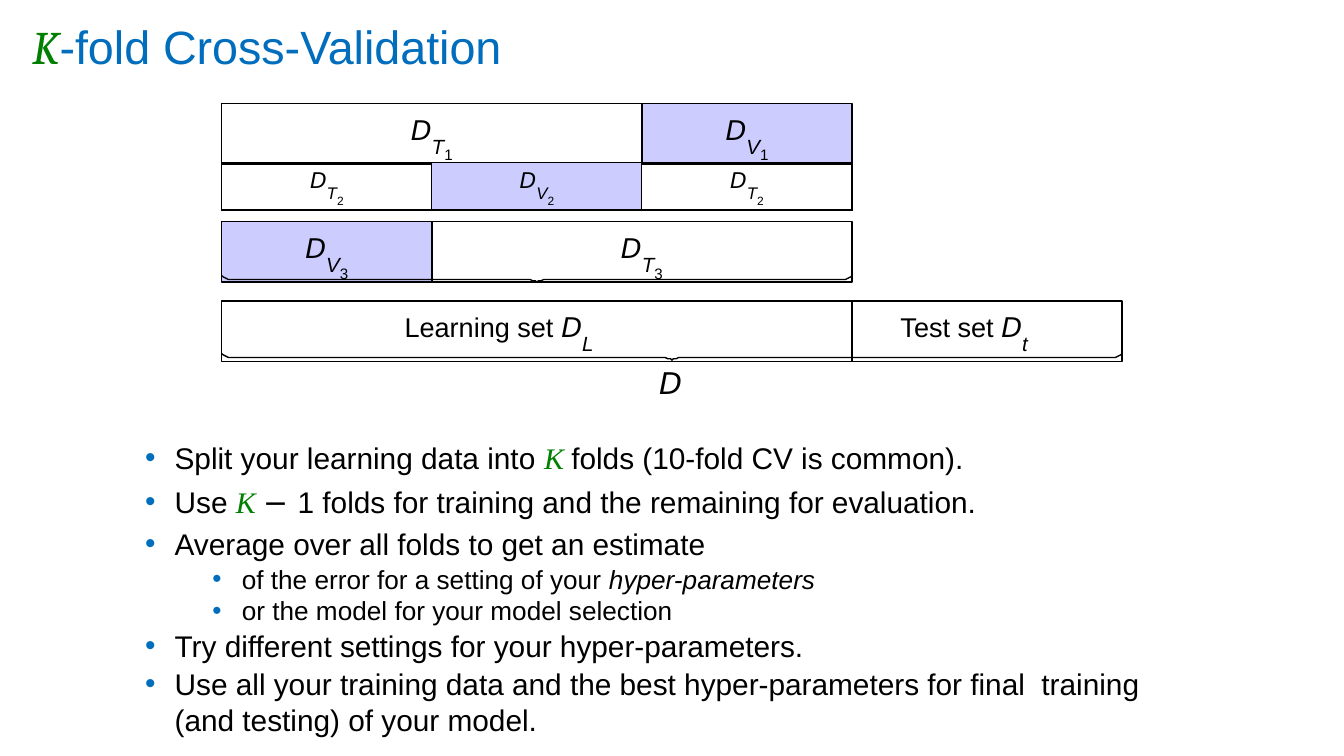
import pptx
import pptx.util
import pptx.dml.color
import pptx.enum.shapes
import pptx.enum.text
import pptx.oxml
import pptx.oxml.ns
import lxml.etree

Inches, Pt = pptx.util.Inches, pptx.util.Pt
qn = pptx.oxml.ns.qn
PP_ALIGN = pptx.enum.text.PP_ALIGN
COLORS = {"black": "000000", "blue": "006DBD", "green": "007F00",
          "fold": "0000FF", "fold_cell": "CCCCFE"}
RGB = {name: pptx.dml.color.RGBColor.from_string(value) for name, value in COLORS.items()}

# Run styles: font, italic, colour
STYLES = {
    "text": ("Arial", False, "black"),
    "italic": ("Arial", True, "black"),
    "symbol": ("DejaVu Sans", True, "black"),
    "math": ("Times New Roman", True, "green"),
    "title": ("Arial", False, "blue"),
    "title_math": ("Cambria", True, "green"),
}
# Sizes of set name, subscript and index
LABEL_SIZES = {"large": (25, 11, 14), "small": (20, 9, 11)}


def write(paragraph, runs, indent=0, hanging=0, **values):
    """Add (text, style, size, baseline percent) runs and format the paragraph."""
    for name, value in values.items():
        setattr(paragraph, name, value)
    properties = paragraph._p.get_or_add_pPr()
    properties.set("marL", str(Inches(indent)))
    properties.set("indent", str(Inches(hanging)))
    for text, style, size, baseline in runs:
        run = paragraph.add_run()
        run.text = text
        font, italic, color = STYLES[style]
        for name, value in {"name": font, "italic": italic, "size": Pt(size)}.items():
            setattr(run.font, name, value)
        run.font.color.rgb = RGB[color]
        if baseline:
            run._r.get_or_add_rPr().set("baseline", str(baseline * 1000))


def fold_label(kind, index, scale):
    name, subscript, number = LABEL_SIZES[scale]
    return [("D", "symbol", name, 30), (kind, "italic", subscript, 0),
            (index, "text", number, -25)]


# A 16:9 slide
presentation = pptx.Presentation()
presentation.slide_width = Inches(10)
presentation.slide_height = presentation.slide_width * 9 // 16
slide = presentation.slides.add_slide(presentation.slide_layouts[5])
FRAME = {"margin_left": 0, "margin_right": 0, "margin_bottom": 0,
         "margin_top": Inches(0.03), "word_wrap": True,
         "vertical_anchor": pptx.enum.text.MSO_ANCHOR.TOP,
         "auto_size": pptx.enum.text.MSO_AUTO_SIZE.NONE}

# Grid: three fold columns, then the test set
LEFT, LEARNING, TEST, BOX = 1.65, 4.69, 2.01, 0.45
FOLD = LEARNING / 3
TOP, PITCH = 0.77, 0.44

# Title
title = slide.shapes.title
title.left, title.top, title.width, title.height = map(Inches, (0.21, 0.1, 3.88, 0.46))
for name, value in FRAME.items():
    setattr(title.text_frame, name, value)
write(title.text_frame.paragraphs[0],
      [("K", "title_math", 25, 0), ("-fold Cross-Validation", "title", 25, 0)],
      indent=0.03, alignment=PP_ALIGN.LEFT)

# Boxes: column, width, top, shaded, runs, indent (None centres the label)
row_tops = [TOP, TOP + 2 * PITCH, 2.24]
boxes = [
    (0, 2 * FOLD, row_tops[0], False, fold_label("T", "1", "large"), None),
    (2, FOLD, row_tops[0], True, fold_label("V", "1", "large"), None),
    (0, FOLD, row_tops[1], True, fold_label("V", "3", "large"), None),
    (1, 2 * FOLD, row_tops[1], False, fold_label("T", "3", "large"), None),
]
for column, width, name, symbol, indent in [(0, LEARNING, "Learning set ", "L", 1.36),
                                            (3, TEST, "Test set ", "t", 0.36)]:
    runs = [(name, "text", 25, 30), ("D", "symbol", 25, 30), (symbol, "italic", 11, 0)]
    boxes.append((column, width, row_tops[2], False, runs, indent))

for column, width, top, shaded, runs, indent in boxes:
    shape = slide.shapes.add_shape(
        pptx.enum.shapes.MSO_SHAPE.RECTANGLE,
        Inches(LEFT + column * FOLD), Inches(top), Inches(width), Inches(BOX))
    shape.shadow.inherit = False
    shape.line.color.rgb, shape.line.width = RGB["black"], Pt(0.75)
    if shaded:
        shape.fill.solid()
        shape.fill.fore_color.rgb = RGB["fold"]
        color = shape._element.spPr.find(qn("a:solidFill"))[0]
        lxml.etree.SubElement(color, qn("a:alpha")).set("val", "20000")
    else:
        shape.fill.background()
    for name, value in FRAME.items():
        setattr(shape.text_frame, name, value)
    write(shape.text_frame.paragraphs[0], runs, indent=indent or 0,
          alignment=PP_ALIGN.CENTER if indent is None else PP_ALIGN.LEFT)

# Second split as a table
table = slide.shapes.add_table(1, 3, Inches(LEFT), Inches(TOP + PITCH),
                               Inches(LEARNING), Inches(0.29)).table
table.first_row = table.horz_banding = False
for column, kind in enumerate("TVT"):
    table.columns[column].width = Inches(FOLD)
    cell = table.cell(0, column)
    margins = {"left": 0, "right": 0, "top": 0.02, "bottom": 0.01}
    for side, margin in margins.items():
        setattr(cell, "margin_" + side, Inches(margin))
    write(cell.text_frame.paragraphs[0], fold_label(kind, "2", "small"),
          alignment=PP_ALIGN.CENTER)
    properties = cell._tc.get_or_add_tcPr()
    for edge in ("lnL", "lnR", "lnT", "lnB"):
        border = lxml.etree.SubElement(properties, qn("a:" + edge), w=str(Pt(0.75)))
        fill = lxml.etree.SubElement(border, qn("a:solidFill"))
        lxml.etree.SubElement(fill, qn("a:srgbClr"), val=COLORS["black"])
    if kind == "V":
        cell.fill.solid()
        cell.fill.fore_color.rgb = RGB["fold_cell"]
    else:
        cell.fill.background()

# Braces under the learning set and under all data
for top, width in [(2.05, LEARNING), (2.63, LEARNING + TEST)]:
    middle = width / 2
    half = [(0, 0), (0.01, 0.01), (0.03, 0.02), (0.05, 0.03), (0.07, 0.03),
            (middle - 0.07, 0.03), (middle - 0.05, 0.03), (middle - 0.03, 0.04),
            (middle - 0.01, 0.04), (middle, 0.05)]
    outline = half + [(width - x, y) for x, y in half[-2::-1]]
    points = [(Inches(LEFT + x), Inches(top + y)) for x, y in outline]
    builder = slide.shapes.build_freeform(*points[0])
    builder.add_line_segments(points[1:], close=False)
    brace = builder.convert_to_shape()
    brace.shadow.inherit = False
    brace.fill.background()
    brace.line.color.rgb, brace.line.width = RGB["black"], Pt(0.75)

# Name of the whole data set, then bullets: level, space before, line spacing, runs
body = slide.shapes.add_textbox(*map(Inches, (1.04, 2.69, 7.8, 2.83))).text_frame
for name, value in {**FRAME, "margin_top": Inches(0.02)}.items():
    setattr(body, name, value)
write(body.paragraphs[0], [("D", "symbol", 16, 0)], indent=0.1, alignment=PP_ALIGN.CENTER)
bullets = [
    (0, 21, 1.0, [("Split your learning data into ", "text"), ("K ", "math"),
                  ("folds (10-fold CV is common).", "text")]),
    (0, 1, 1.18, [("Use ", "text"), ("K ", "math"), ("− ", "symbol"),
                  ("1 folds for training and the remaining for evaluation.", "text")]),
    (0, 0, 1.18, [("Average over all folds to get an estimate", "text")]),
    (1, 1, 1.0, [("of the error for a setting of your ", "text"),
                 ("hyper-parameters", "italic")]),
    (1, 0, 1.0, [("or the model for your model selection", "text")]),
    (0, 1, 1.0, [("Try different settings for your hyper-parameters.", "text")]),
    (0, 1, 1.0, [("Use all your training data and the best hyper-parameters for final  "
                  "training (and testing) of your model.", "text")]),
]
for level, before, spacing, runs in bullets:
    paragraph = body.add_paragraph()
    write(paragraph, [(text, style, 16 - 2 * level, 0) for text, style in runs],
          indent=0.26 + 0.5 * level, hanging=-0.22, level=level,
          space_before=Pt(before), line_spacing=spacing)
    properties = paragraph._p.get_or_add_pPr()
    color = lxml.etree.SubElement(properties, qn("a:buClr"))
    lxml.etree.SubElement(color, qn("a:srgbClr"), val=COLORS["blue"])
    lxml.etree.SubElement(properties, qn("a:buFont"), typeface="Arial")
    lxml.etree.SubElement(properties, qn("a:buChar"), char="•")

presentation.save("out.pptx")
